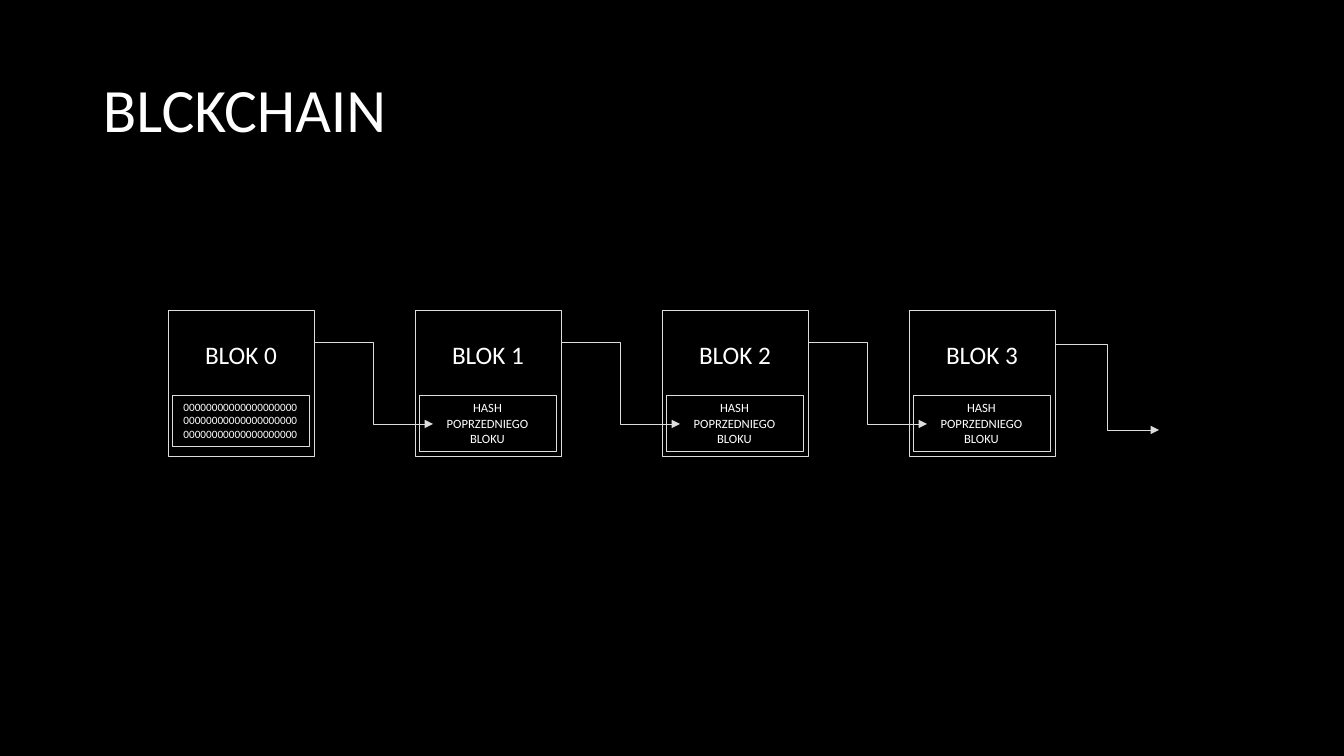
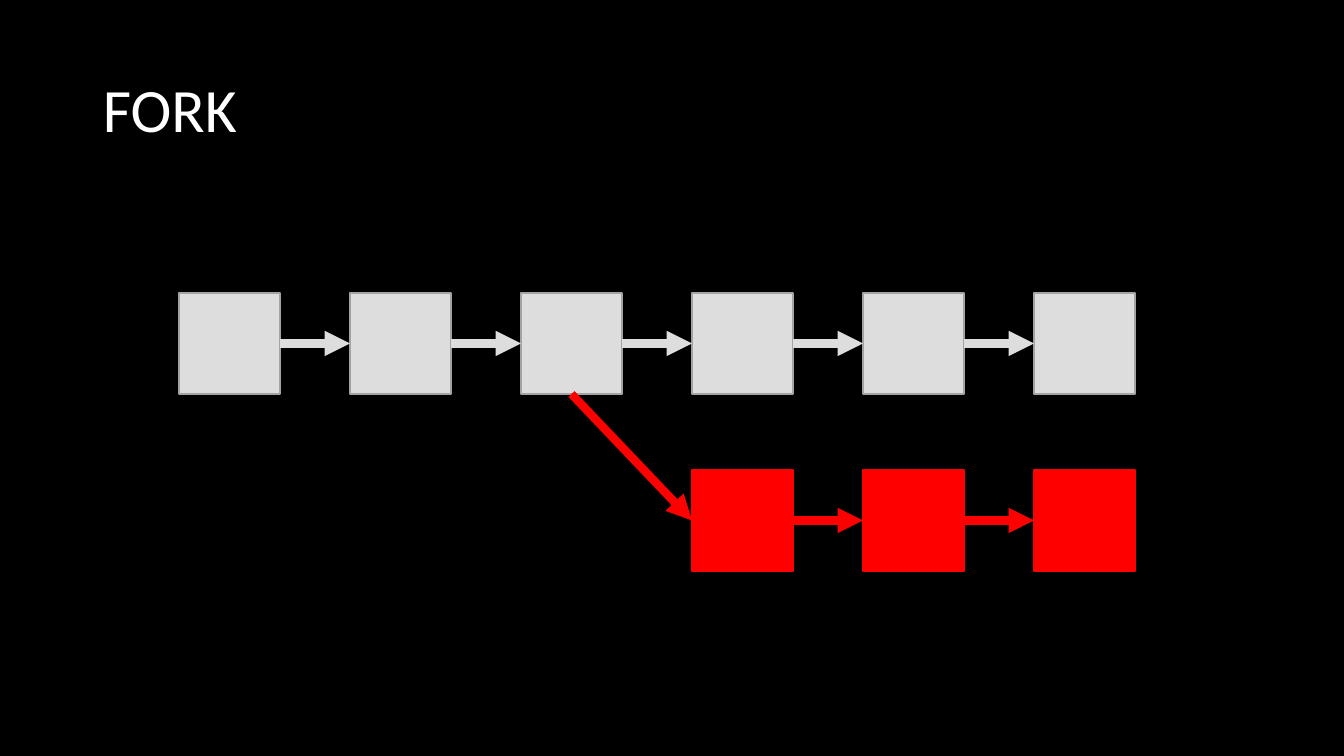
from lxml import etree
from pptx import Presentation
from pptx.dml.color import RGBColor
from pptx.enum import shapes, text
from pptx.oxml import ns
from pptx.util import Emu, Pt

SCALE = 914400 / 100.8  # EMU in one px
BLACK, WHITE, GREY, EDGE, RED = "000000", "FFFFFF", "DDDDDD", "A3A3A3", "FF0000"
FONT = "Calibri"
TITLE = (93, 40, 1159, 146)


def px(n):
    return Emu(round(n * SCALE))


def color(code):
    return RGBColor.from_string(code)


def write(frame, lines, size, align):
    """Fill a frame with paragraphs of one style, centred vertically."""
    frame.word_wrap = True
    frame.vertical_anchor = text.MSO_ANCHOR.MIDDLE
    frame.text = "\n".join(lines)
    for par in frame.paragraphs:
        par.alignment = align
        par.font.name = FONT
        par.font.size = Pt(size)
        par.font.color.rgb = color(WHITE)


def rect(slide, box, fill, edge, width):
    shape = slide.shapes.add_shape(
        shapes.MSO_SHAPE.RECTANGLE, *[px(n) for n in box])
    shape.shadow.inherit = False
    shape.fill.solid()
    shape.fill.fore_color.rgb = color(fill)
    shape.line.color.rgb = color(edge)
    shape.line.width = Pt(width)
    return shape


def arrow(slide, kind, ends, tint, width):
    line = slide.shapes.add_connector(kind, *[px(n) for n in ends])
    line.line.color.rgb = color(tint)
    line.line.width = Pt(width)
    head = etree.SubElement(line.line._get_or_add_ln(), ns.qn("a:tailEnd"))
    head.set("type", "triangle")
    etree.SubElement(line._element.spPr, ns.qn("a:effectLst"))
    return line


def page(deck, title):
    """Black slide with its title."""
    slide = deck.slides.add_slide(deck.slide_layouts[6])
    slide.background.fill.solid()
    slide.background.fill.fore_color.rgb = color(BLACK)
    box = slide.shapes.add_textbox(*[px(n) for n in TITLE])
    write(box.text_frame, [title], 44, text.PP_ALIGN.LEFT)
    box.text_frame.paragraphs[0].line_spacing = 0.9
    return slide


def block(slide, x, y, side, name, lines, size, tall):
    """Named block with a hash panel in its lower part."""
    outer = rect(slide, (x, y, side, side), BLACK, GREY, 0.5)
    outer.text_frame.margin_top = 0
    outer.text_frame.margin_bottom = px(58)  # keeps the name above the panel
    write(outer.text_frame, [name], 18, text.PP_ALIGN.CENTER)
    panel = rect(slide, (x + 4, y + 85, side - 9, tall), BLACK, GREY, 0.5)
    write(panel.text_frame, lines, size, text.PP_ALIGN.CENTER)


def chain(slide, x, y):
    """Four blocks, each linked to the hash panel of the next."""
    side, step, count = 146, 247, 4
    bend = shapes.MSO_CONNECTOR.ELBOW
    for i in range(count):
        left = x + i * step
        if i == 0:
            lines, size, tall = ["0" * 60], 8, 51
        else:
            lines, size, tall = ["HASH", "POPRZEDNIEGO BLOKU"], 9, 56
        block(slide, left, y, side, f"BLOK {i}", lines, size, tall)
        if i:
            start = left - step + side
            arrow(slide, bend, (start, y + 32, left + 18, y + 114), GREY, 0.5)
    # Open link to the block still to come
    end = x + (count - 1) * step + side
    arrow(slide, bend, (end, y + 34, end + 104, y + 120), GREY, 0.5)


def link(slide, first, side, last, tint):
    """Thick arrow from one side of a square to the left of another."""
    line = arrow(slide, shapes.MSO_CONNECTOR.STRAIGHT, (0, 0, 0, 0), tint, 6)
    line.begin_connect(first, side)
    line.end_connect(last, 1)


def row(slide, x, y, count, step, tint, edge):
    """Row of squares joined by arrows."""
    cells = [rect(slide, (x + i * step, y, 101, 101), tint, edge, 1)
             for i in range(count)]
    for first, last in zip(cells, cells[1:]):
        link(slide, first, 3, last, tint)
    return cells


def fork(slide, x, y):
    """Main row with a red branch leaving its third square."""
    step = 171
    main_row = row(slide, x, y, 6, step, GREY, EDGE)
    branch = row(slide, x + 3 * step, y + 177, 3, step, RED, RED)
    link(slide, main_row[2], 2, branch[0], RED)


def main():
    deck = Presentation()
    deck.slide_width, deck.slide_height = px(1344), px(756)
    chain(page(deck, "BLCKCHAIN"), 168, 310)
    fork(page(deck, "FORK"), 179, 293)
    deck.save("out.pptx")


if __name__ == "__main__":
    main()
